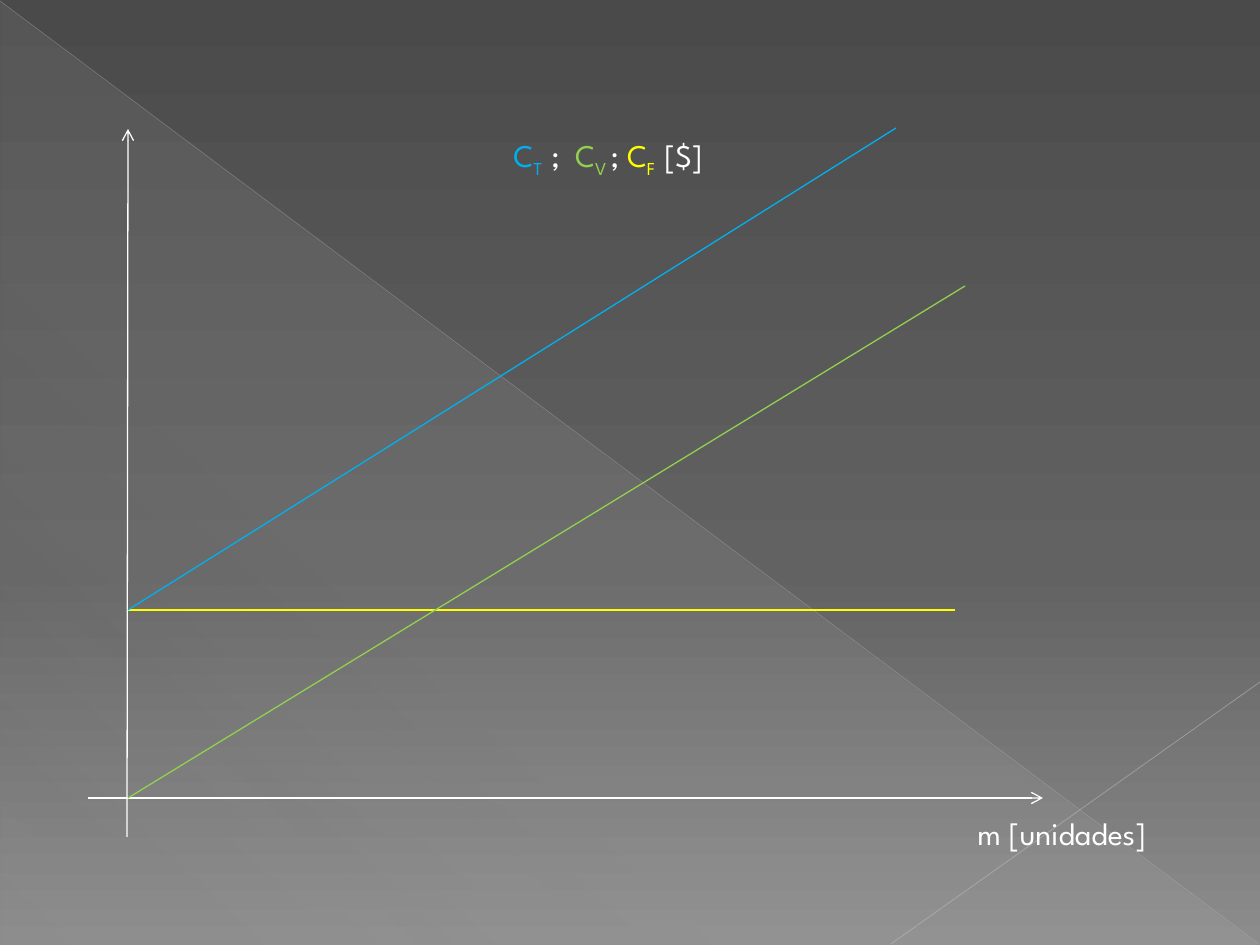
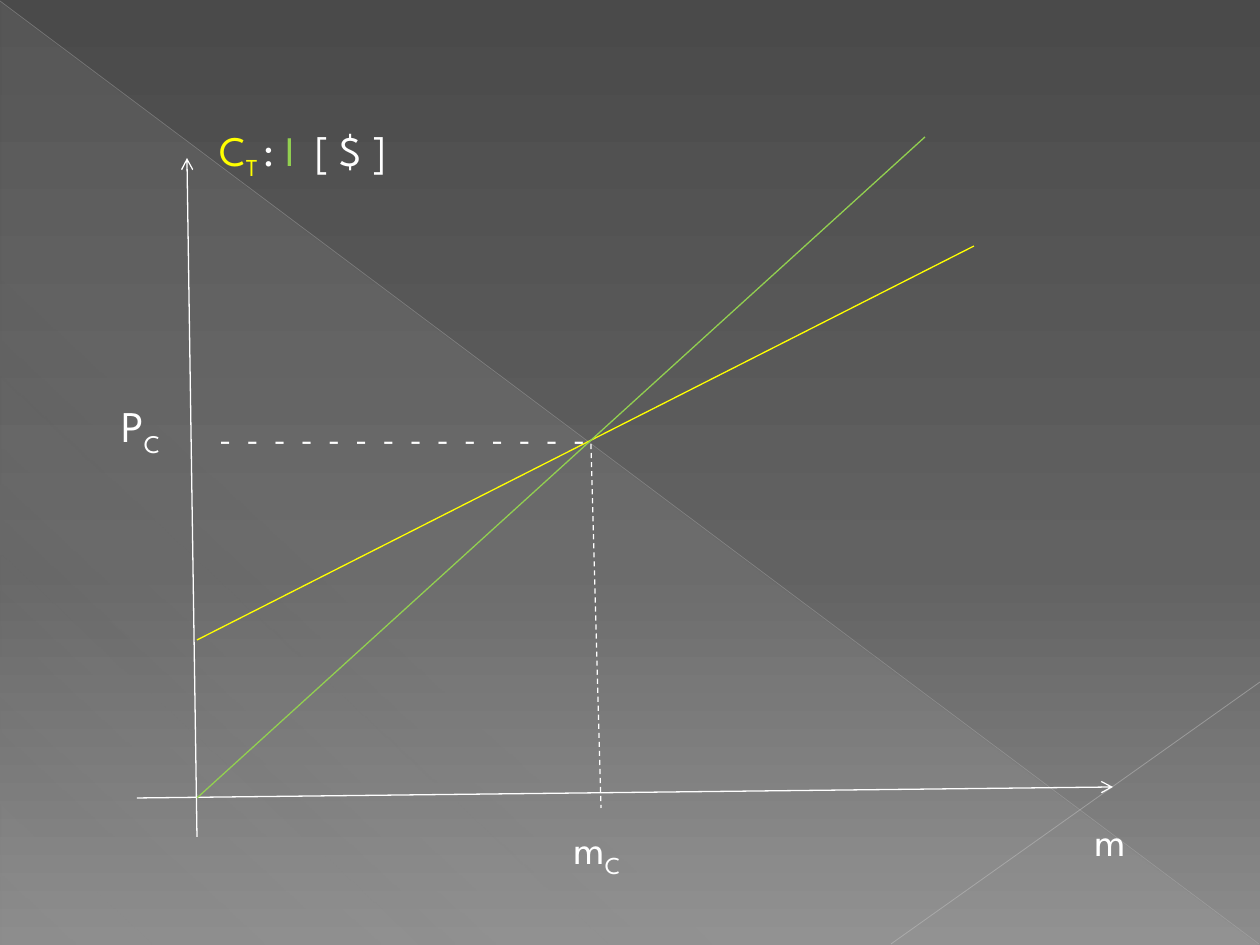
from dataclasses import dataclass

from pptx import Presentation, util as u
from pptx.dml.color import RGBColor
from pptx.enum import dml, shapes, text
from pptx.oxml.ns import qn
from lxml import etree


@dataclass(frozen=True)
class Theme:
    """Colours, font and sizes that both slides share."""
    font: str = "League Spartan"
    white: str = "FFFFFF"
    yellow: str = "FFFF00"
    green: str = "92D050"
    blue: str = "00B0F0"
    glow: str = "D2D2D2"
    edge: str = "BFBFBF"
    crease: str = "C6C6C6"
    small: float = 18
    large: float = 24
    tall: float = 25
    rule: float = 0.75
    back: tuple = ((0, "4A4A4A", 100), (60, "626262", 100), (100, "8C8C8C", 100))


@dataclass(frozen=True)
class Span:
    """A piece of a label, with subscript and letter spacing."""
    words: str
    hue: str = Theme.white
    sub: bool = False
    gap: float = 0


T = Theme()
WIDE, HIGH = 1260, 945
ORIGIN_Y = 798


def px(n):
    """Turn pixels into EMU."""
    return u.Emu(round(n * 914400 / 126))


def fade(clr, part):
    """Give a colour element an opacity in percent."""
    etree.SubElement(clr, qn("a:alpha"), val=str(part * 1000))


def blend(fill, root, stops, angle):
    """Fill with a linear gradient of (place, colour, opacity) stops."""
    fill.gradient()
    grad = root.find(".//" + qn("a:gradFill"))
    grad.find(qn("a:lin")).set("ang", str(angle * 60000))
    ramp = grad.find(qn("a:gsLst"))
    for old in list(ramp):
        ramp.remove(old)
    for place, hue, part in stops:
        stop = etree.SubElement(ramp, qn("a:gs"), pos=str(place * 1000))
        fade(etree.SubElement(stop, qn("a:srgbClr"), val=hue), part)


def line(slide, start, end, hue=T.white, width=T.rule, arrow=False, dash=False, part=100):
    """Draw a straight line between two points."""
    link = slide.shapes.add_connector(
        shapes.MSO_CONNECTOR.STRAIGHT, *map(px, (*start, *end)))
    link.line.width = u.Pt(width)
    link.line.color.rgb = RGBColor.from_string(hue)
    props = link.element.spPr
    if part < 100:
        fade(props.find(".//" + qn("a:srgbClr")), part)
    if dash:
        link.line.dash_style = dml.MSO_LINE.DASH
    if arrow:
        etree.SubElement(props.find(qn("a:ln")), qn("a:tailEnd"), type="arrow")
    etree.SubElement(props, qn("a:effectLst"))
    return link


def label(slide, box, *spans, size=T.small, indent=0):
    """Write spans of text in a box."""
    frame = slide.shapes.add_textbox(*map(px, box)).text_frame
    frame.word_wrap = True
    frame.auto_size = text.MSO_AUTO_SIZE.SHAPE_TO_FIT_TEXT
    para = frame.paragraphs[0]
    if indent:
        para._p.get_or_add_pPr().set("marL", str(px(indent)))
    for span in spans:
        run = para.add_run()
        run.text = span.words
        run.font.name, run.font.size = T.font, u.Pt(size)
        run.font.color.rgb = RGBColor.from_string(span.hue)
        props = run._r.get_or_add_rPr()
        if span.sub:
            props.set("baseline", "-25000")
        if span.gap:
            props.set("spc", str(round(span.gap * 100)))


def backdrop(slide):
    """Put the gradient, the triangle and its edges on the slide's layout."""
    layout = slide.slide_layout
    blend(layout.background.fill, layout.element, T.back, 90)
    wedge = slide.shapes.add_shape(
        shapes.MSO_SHAPE.RIGHT_TRIANGLE, *map(px, (1, 2, WIDE - 2, HIGH - 2)))
    wedge.shadow.inherit = False
    wedge.line.fill.background()
    blend(wedge.fill, wedge.element,
          ((0, T.glow, 10), (70, T.glow, 8), (100, T.glow, 1)), 133)
    edge = line(slide, (0, 1), (1259, 944), T.edge, 0.39, part=35)
    crease = line(slide, (WIDE, 682), (891, 944), T.crease, 0.47, part=45)
    for part in (wedge, edge, crease):
        layout.shapes.element.append(part.element)


def costs(slide):
    """Plot total, variable and fixed cost against units."""
    zero, fixed = (128, ORIGIN_Y), (128, 610)
    line(slide, (127, 837), (128, 129), arrow=True)
    line(slide, (88, ORIGIN_Y), (1043, ORIGIN_Y), arrow=True)
    line(slide, fixed, (955, 610), T.yellow)
    line(slide, zero, (965, 286), T.green)
    line(slide, fixed, (896, 128), T.blue)
    label(slide, (501, 130, 344, 50),
          Span("C", T.blue), Span("T ", T.blue, True, 1.4), Span("; ", gap=2.1),
          Span("C", T.green), Span("V ", T.green, True), Span("; "),
          Span("C", T.yellow), Span("F ", T.yellow, True, 1.4), Span("[$]"))
    label(slide, (965, 808, 295, 50), Span("m [unidades]"))


def balance(slide):
    """Plot income against total cost and mark where they meet."""
    line(slide, (137, ORIGIN_Y), (1113, 787), arrow=True)
    line(slide, (197, 837), (187, 158), arrow=True)
    line(slide, (197, 640), (974, 246), T.yellow)
    line(slide, (197, ORIGIN_Y), (925, 137), T.green)
    label(slide, (207, 413, 403, 50), Span(" ".join("-" * 14), gap=2.1))
    line(slide, (591, 444), (601, 808), dash=True)
    label(slide, (207, 118, 266, 63),
          Span("C", T.yellow), Span("T ", T.yellow, True), Span(": "),
          Span("I ", T.green, gap=2.85), Span("[ $ ]"), size=T.large)
    label(slide, (78, 393, 129, 66), Span("P"), Span("C", sub=True),
          size=T.tall, indent=31)
    label(slide, (561, 816, 108, 63), Span("m"), Span("C", sub=True), size=T.large)
    label(slide, (1082, 808, 118, 63), Span("m"), size=T.large)


def main():
    """Build both slides and save them."""
    deck = Presentation()
    deck.slide_width, deck.slide_height = px(WIDE), px(HIGH)
    blank = deck.slide_layouts[6]
    first, second = (deck.slides.add_slide(blank) for _ in range(2))
    backdrop(first)
    costs(first)
    balance(second)
    deck.save("out.pptx")


if __name__ == "__main__":
    main()
